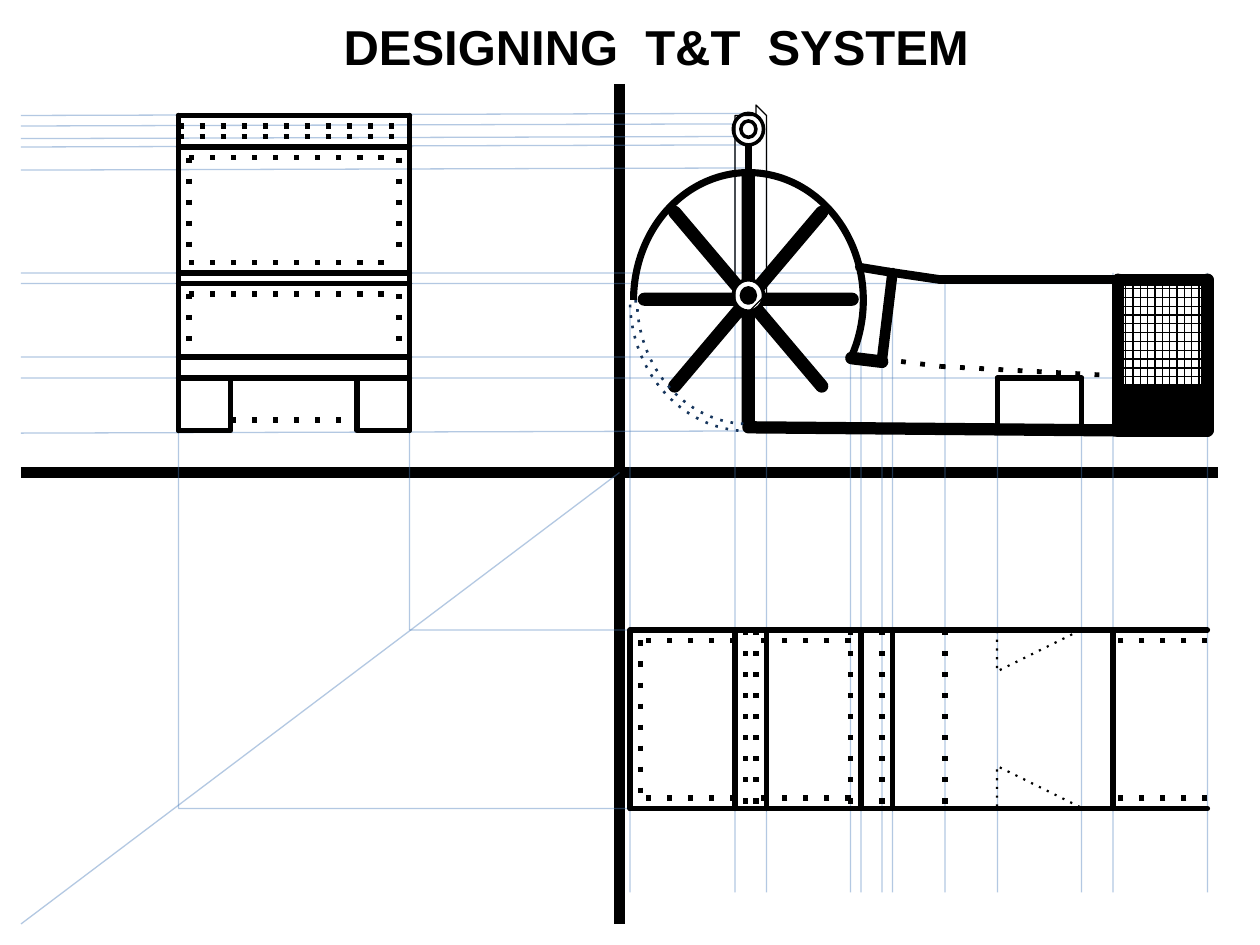
from typing import NamedTuple, Optional

from lxml import etree
from pptx import Presentation
from pptx.dml.color import RGBColor
from pptx.enum.shapes import MSO_CONNECTOR, MSO_SHAPE
from pptx.enum.text import MSO_ANCHOR, PP_ALIGN
from pptx.oxml.ns import qn
from pptx.util import Inches, Pt

CELL = Inches(1) / 12  # every position is a column or row of this grid
COLUMNS, ROWS = 120, 90
TITLE_ONLY = 5

BLACK = RGBColor(0, 0, 0)
WHITE = RGBColor(255, 255, 255)
BLUE = RGBColor(0x4F, 0x81, 0xBD)
GUIDE_BLUE = RGBColor(0x4A, 0x7D, 0xBA)
NAVY = RGBColor(0x17, 0x36, 0x5D)

STRAIGHT = MSO_CONNECTOR.STRAIGHT
RECTANGLE, TRIANGLE = MSO_SHAPE.RECTANGLE, MSO_SHAPE.ISOSCELES_TRIANGLE
DONUT, ARC, STAR = MSO_SHAPE.DONUT, MSO_SHAPE.BLOCK_ARC, MSO_SHAPE.STAR_8_POINT
CENTER, MIDDLE = PP_ALIGN.CENTER, MSO_ANCHOR.MIDDLE


class Pen(NamedTuple):
    width: float
    color: RGBColor = BLACK
    dotted: bool = False
    opacity: int = 100
    rounded: bool = False


class Stroke(NamedTuple):
    x1: float
    y1: float
    x2: float
    y2: float
    pen: Pen


class Figure(NamedTuple):
    kind: MSO_SHAPE
    left: float
    top: float
    width: float
    height: float
    pen: Optional[Pen] = None
    fill: Optional[RGBColor] = None
    adjust: tuple = ()
    rotation: int = 0
    flipped: bool = False


GUIDE = Pen(0.75, GUIDE_BLUE, opacity=42)
EDGE = Pen(3, rounded=True)
HIDDEN = Pen(3, dotted=True)
FLOOR = Pen(2.75, dotted=True)
FINE_DOTS = Pen(1.25, dotted=True)
RING = Pen(2)
MESH = Pen(0.75)
ROOF = Pen(5, rounded=True)
FRAME = Pen(7, rounded=True)


def across(left: float, right: float, rows: tuple, pen: Pen) -> list[Stroke]:
    return [Stroke(left, row, right, row, pen) for row in rows]


def down(columns: tuple, top: float, bottom: float, pen: Pen) -> list[Stroke]:
    return [Stroke(column, top, column, bottom, pen) for column in columns]


GUIDES = [
    *[stroke for column, top in ((60, 29), (70, 12), (73, 12), (81, 34), (82, 25), (84, 34),
                                 (85, 26), (90, 27), (95, 36), (103, 36), (106, 26), (115, 26))
      for stroke in down((column,), top, 85, GUIDE)],
    *[Stroke(71, row - 0.2, 2, row, GUIDE) for row in (11, 12, 13.2, 14, 16.2, 41.25)],
    *across(106, 2, (27, 36), GUIDE),
    *across(82, 2, (26,), GUIDE),
    *across(84, 2, (34,), GUIDE),
    *across(60, 39, (60,), GUIDE),
    *across(60, 17, (77,), GUIDE),
    *down((39,), 60, 11, GUIDE),
    *down((17,), 77, 11, GUIDE),
    Stroke(59, 45, 2, 88, GUIDE),
]
AXES = [Stroke(59, 8, 59, 88, Pen(6.25)), Stroke(2, 45, 116, 45, Pen(6))]

PLAN_VIEW = [
    *across(60, 115, (77, 60), EDGE),
    *down((60, 70, 73, 82, 85, 106), 60, 77, EDGE),
    *down((71, 72, 81, 84, 90), 60, 77, HIDDEN),
    *down((61,), 61, 76, HIDDEN),
    *[stroke for right, left in ((70, 61), (81, 72), (115, 106))
      for stroke in across(right, left, (61, 76), HIDDEN)],
    Figure(TRIANGLE, 97, 70.9, 4, 8.1, FINE_DOTS, None, (0,), 90, True),
    Figure(TRIANGLE, 97, 57.9, 4, 8.1, FINE_DOTS, None, (0,), 90),
]

FRONT_VIEW = [
    *across(17, 39, (11, 14, 26, 27, 34, 36), EDGE),
    *down((17, 39), 41, 11, EDGE),
    *across(17, 39, (12, 13), HIDDEN),
    *[Figure(RECTANGLE, left, 36, 5, 5, EDGE) for left in (17, 34)],
    *across(18, 38, (15, 25, 28), HIDDEN),
    *down((18, 38), 15, 25, HIDDEN),
    *down((18, 38), 28, 34, HIDDEN),
    *across(22, 34, (40,), HIDDEN),
]

SIDE_VIEW = [
    Figure(STAR, 61.36, 16.8, 19.8, 23.4, Pen(7.5, rounded=True), BLUE, (0,)),
    Figure(DONUT, 69.84, 10.8, 2.88, 3, RING, WHITE, (0.25,)),
    Stroke(71.28, 13.8, 71.28, 16.1, Pen(4)),
    Stroke(84, 34.2, 89.6, 34.9, FLOOR),
    Stroke(85, 26, 84, 34.2, Pen(6, rounded=True)),
    Stroke(84.6, 25.9, 89.6, 26.64, ROOF),
    Stroke(89.6, 26.64, 106.5, 26.64, ROOF),
    Stroke(89.6, 34.9, 106.5, 35.8, FLOOR),
    Figure(ARC, 60, 16.1, 22.56, 24.96, Pen(1.5, NAVY, True), None, (53.85, 107.63, 0.03)),
    Figure(ARC, 60, 16.1, 22.56, 24.96, None, BLACK, (108.04, 16.86, 0.03)),
    Stroke(71.28, 40.7, 107.3, 41, FRAME),
    Stroke(81.1, 34.1, 84, 34.45, Pen(7.25, rounded=True)),
    Stroke(81.84, 25.45, 84.6, 25.9, ROOF),
    *across(106.5, 115, (41, 26.64), FRAME),
    *down((106.5, 115), 26.64, 41, FRAME),
    Figure(RECTANGLE, 106.5, 36.7, 8.5, 4.2, RING, BLACK),
    *down(tuple(106.5 + 0.7 * step for step in range(1, 12)), 26.64, 36.7, MESH),
    *across(106.5, 115, tuple(26.64 + 0.84 * step for step in range(1, 12)), MESH),
    Figure(DONUT, 69.84, 26.64, 2.88, 3, RING, WHITE, (0.27,)),
]
BELT = ((69.6, 13.5), (69.55, 16), (69.84, 28.5), (70.2, 29.4), (71.28, 29.8), (72.48, 29.3),
        (72.84, 28.3), (72.72, 12.5), (72.6, 11.3), (71.8, 10.4), (71.76, 10.6), (70.3, 10.9),
        (69.8, 11.4))
BLOCK = [*down((95, 103), 36, 41, EDGE), *across(95, 103, (36,), EDGE)]


def grid(*cells: float) -> list[int]:
    return [round(cell * CELL) for cell in cells]


def apply_pen(shape, pen: Pen) -> None:
    shape.line.width = Pt(pen.width)
    shape.line.color.rgb = pen.color
    outline = shape.element.spPr.find(qn("a:ln"))
    if pen.opacity < 100:
        color = outline.find(".//" + qn("a:srgbClr"))
        etree.SubElement(color, qn("a:alpha"), val=str(pen.opacity * 1000))
    if pen.dotted:
        etree.SubElement(outline, qn("a:prstDash"), val="dot")
    if pen.rounded:
        outline.set("cap", "rnd")
        etree.SubElement(outline, qn("a:round"))


def draw_stroke(shapes, stroke: Stroke) -> None:
    connector = shapes.add_connector(STRAIGHT, *grid(*stroke[:4]))
    apply_pen(connector, stroke.pen)
    etree.SubElement(connector.element.spPr, qn("a:effectLst"))


def finish(shape, pen: Optional[Pen], fill: Optional[RGBColor]) -> None:
    if fill is None:
        shape.fill.background()
    else:
        shape.fill.solid()
        shape.fill.fore_color.rgb = fill
    if pen is None:
        shape.line.fill.background()
    else:
        apply_pen(shape, pen)
    shape.shadow.inherit = False


def draw_figure(shapes, figure: Figure) -> None:
    shape = shapes.add_shape(figure.kind, *grid(*figure[1:5]))
    for index, value in enumerate(figure.adjust):
        shape.adjustments[index] = value
    shape.rotation = figure.rotation
    if figure.flipped:
        shape.element.spPr.find(qn("a:xfrm")).set("flipH", "1")
    finish(shape, figure.pen, figure.fill)


def draw_all(shapes, parts: list) -> None:
    for part in parts:
        (draw_stroke if isinstance(part, Stroke) else draw_figure)(shapes, part)


def draw_belt(shapes) -> None:
    builder = shapes.build_freeform(*BELT[0], scale=CELL)
    builder.add_line_segments(BELT[1:], close=True)
    finish(builder.convert_to_shape(), MESH, None)


def write_title(title) -> None:
    title.left, title.top, title.width, title.height = grid(28, 1, 69, 6.8)
    title.text_frame.text = "DESIGNING  T&T  SYSTEM"
    title.text_frame.vertical_anchor = MIDDLE
    para = title.text_frame.paragraphs[0]
    para.alignment = CENTER
    span = para.runs[0]
    for name, value in {"name": "Arial", "size": Pt(28), "bold": True}.items():
        setattr(span.font, name, value)
    span.font.color.rgb = BLACK


def main() -> None:
    deck = Presentation()
    deck.slide_width, deck.slide_height = grid(COLUMNS, ROWS)
    page = deck.slides.add_slide(deck.slide_layouts[TITLE_ONLY])
    write_title(page.shapes.title)
    draw_all(page.shapes, AXES + GUIDES)
    for view in (PLAN_VIEW, FRONT_VIEW, SIDE_VIEW):
        group = page.shapes.add_group_shape()
        draw_all(group.shapes, view)
    draw_belt(group.shapes)
    draw_all(group.shapes, BLOCK)
    deck.save("out.pptx")


if __name__ == "__main__":
    main()
